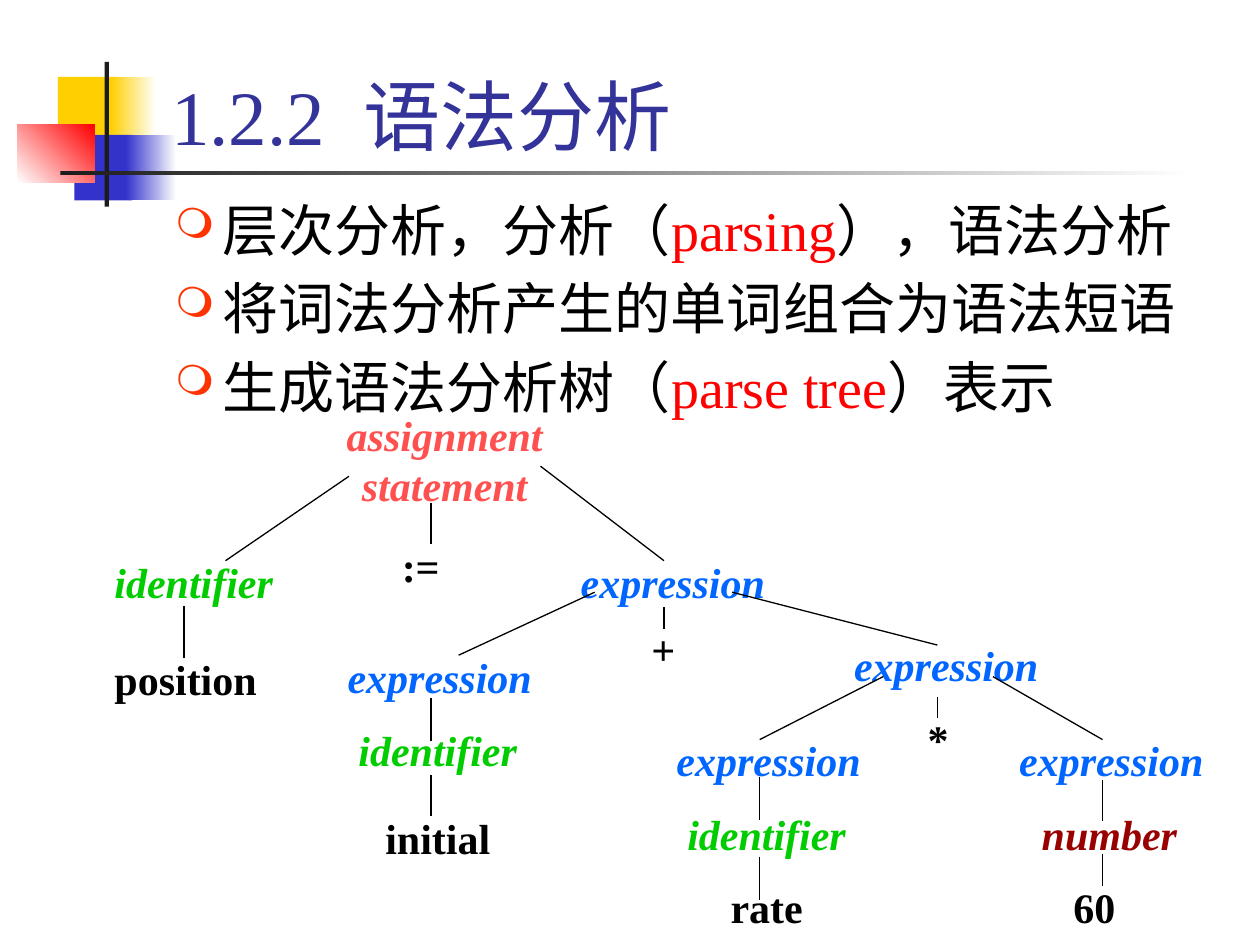
import lxml.etree
import pptx
import pptx.dml.color
import pptx.enum.shapes
import pptx.enum.text
import pptx.oxml.ns
import pptx.util

COLS, ROWS = 100, 75
WIDE, HIGH = pptx.util.Inches(10), pptx.util.Inches(7.5)
FACE = "Times New Roman"
BLACK, WHITE, RED = "000000", "FFFFFF", "FF0000"
GOLD, BLUE, DARK = "FFCF01", "3333CC", "1C1C1C"
GREEN, SKY, ROSE, WINE = "00CC00", "0066FF", "FF5050", "990000"
LEFT = pptx.enum.text.PP_ALIGN.LEFT
MID = pptx.enum.text.PP_ALIGN.CENTER
TOP = pptx.enum.text.MSO_ANCHOR.TOP
BASE = pptx.enum.text.MSO_ANCHOR.BOTTOM

BARS = [
    (4.6, 6.1, 4.8, 5.2, [GOLD], 0),
    (8.8, 6.1, 3.6, 5.2, [GOLD, WHITE], 0),
    (5.9, 10.7, 4.6, 5.2, [BLUE], 0),
    (10, 10.7, 4, 5.2, [BLUE, WHITE], 0),
    (1.4, 9.9, 6.1, 4.6, [WHITE, RED], 45),
    (8.3, 4.9, 0.35, 11.5, [DARK], 0),
    (4.8, 13.6, 90, 0.3, [DARK, WHITE], 0),
]

POINTS = [
    [("层次分析，分析（", BLACK), ("parsing", RED), ("），语法分析", BLACK)],
    [("将词法分析产生的单词组合为语法短语", BLACK)],
    [("生成语法分析树（", BLACK), ("parse tree", RED), ("）表示", BLACK)],
]

RULES = [
    ("assignment statement", 25.5, 32, 19.6, ROSE, MID),
    ("identifier", 8.1, 43.7, 16.3, GREEN, LEFT),
    ("expression", 45.1, 43.7, 18.5, SKY, LEFT),
    ("expression", 26.6, 51.2, 18.5, SKY, LEFT),
    ("expression", 66.8, 50.3, 18.5, SKY, LEFT),
    ("expression", 52.7, 57.8, 18.5, SKY, LEFT),
    ("expression", 79.9, 57.8, 18.5, SKY, LEFT),
    ("identifier", 26.6, 57, 16.3, GREEN, MID),
    ("identifier", 52.7, 63.7, 16.3, GREEN, MID),
    ("number", 79.9, 63.7, 16.3, WINE, MID),
]

LEAVES = [
    ("position", 8.1, 51.4, 14.1, LEFT),
    (":=", 30.9, 42.4, 6.5, LEFT),
    ("+", 49.4, 49, 6.5, MID),
    ("*", 71.2, 56.1, 6.5, MID),
    ("initial", 27.7, 64, 14.1, MID),
    ("rate", 53.8, 69.5, 14.1, MID),
    ("60", 84.2, 69.5, 6.5, LEFT),
]

STEMS = [
    (34.2, 39.9, 43.2), (34.2, 55.4, 58.8), (34.2, 61.5, 64.8),
    (14.6, 48.1, 52.2), (52.7, 48.2, 49.9), (74.4, 55.3, 57),
    (60.3, 61.7, 65.1), (60.3, 68, 71.4),
    (87.5, 61.9, 65.2), (87.5, 67.8, 70.3),
]

FORKS = [
    (27.7, 37.8, 17.9, 44.5), (42.9, 37, 52.7, 44.5),
    (47.2, 47, 36.4, 52), (58.1, 47, 74.4, 51.2),
    (70.1, 53.7, 60.3, 58.7), (78.8, 53.7, 87.5, 58.7),
]


def grid(x, y):
    return round(WIDE * x / COLS), round(HIGH * y / ROWS)


def tint(code):
    return pptx.dml.color.RGBColor.from_string(code)


def node(parent, tag, **attrs):
    return lxml.etree.SubElement(parent, pptx.oxml.ns.qn(tag), attrs)


def bar(slide, x, y, w, h, tones, angle):
    kind = pptx.enum.shapes.MSO_SHAPE.RECTANGLE
    shape = slide.shapes.add_shape(kind, *grid(x, y), *grid(w, h))
    shape.shadow.inherit = False
    shape.line.fill.background()
    if len(tones) == 1:
        shape.fill.solid()
        shape.fill.fore_color.rgb = tint(tones[0])
        return
    shape.fill.gradient()
    shape.fill.gradient_angle = angle
    for stop, tone in zip(shape.fill.gradient_stops, tones):
        stop.color.rgb = tint(tone)


def mark(para):
    props = para._p.get_or_add_pPr()
    dent = pptx.util.Inches(0.38)
    props.set("marL", str(dent))
    props.set("indent", str(-dent))
    node(node(props, "a:buClr"), "a:srgbClr", val="FF3300")
    node(props, "a:buSzPct", val="75000")
    node(props, "a:buChar", char="❍")


def text(slide, box, paras, size=24, bold=False, slant=False,
         align=LEFT, anchor=TOP, dots=False, grow=False):
    x, y, w, h = box
    frame = slide.shapes.add_textbox(*grid(x, y), *grid(w, h)).text_frame
    frame.word_wrap = True
    frame.vertical_anchor = anchor
    if grow:
        frame.auto_size = pptx.enum.text.MSO_AUTO_SIZE.SHAPE_TO_FIT_TEXT
    for i, runs in enumerate(paras):
        para = frame.add_paragraph() if i else frame.paragraphs[0]
        para.alignment = align
        if dots:
            mark(para)
        if i:
            para.space_before = pptx.util.Pt(size * 0.2)
        for words, tone in runs:
            run = para.add_run()
            run.text = words
            font = run.font
            font.name, font.size = FACE, pptx.util.Pt(size)
            font.bold, font.italic = bold, slant
            font.color.rgb = tint(tone)


def link(slide, x1, y1, x2, y2):
    kind = pptx.enum.shapes.MSO_CONNECTOR.STRAIGHT
    line = slide.shapes.add_connector(kind, *grid(x1, y1), *grid(x2, y2))
    line.line.color.rgb = tint(BLACK)
    line.line.width = pptx.util.Pt(0.75)
    node(line._element.spPr, "a:effectLst")


def tree(slide):
    for words, x, y, w, tone, align in RULES:
        high = 9 if " " in words else 5
        text(slide, (x, y, w, high), [[(words, tone)]],
             bold=True, slant=True, align=align, grow=True)
    for words, x, y, w, align in LEAVES:
        text(slide, (x, y, w, 5), [[(words, BLACK)]],
             bold=True, align=align, grow=True)
    for x, top, end in STEMS:
        link(slide, x, top, x, end)
    for ends in FORKS:
        link(slide, *ends)


def main():
    deck = pptx.Presentation()
    deck.slide_width, deck.slide_height = WIDE, HIGH
    slide = deck.slides.add_slide(deck.slide_layouts[6])
    for item in BARS:
        bar(slide, *item)
    text(slide, (12.6, 0.8, 85.2, 12.5), [[("1.2.2  语法分析", "333399")]],
         size=44, anchor=BASE)
    text(slide, (12.9, 15, 85, 51.7), POINTS, size=32, dots=True)
    tree(slide)
    deck.save("out.pptx")


if __name__ == "__main__":
    main()
